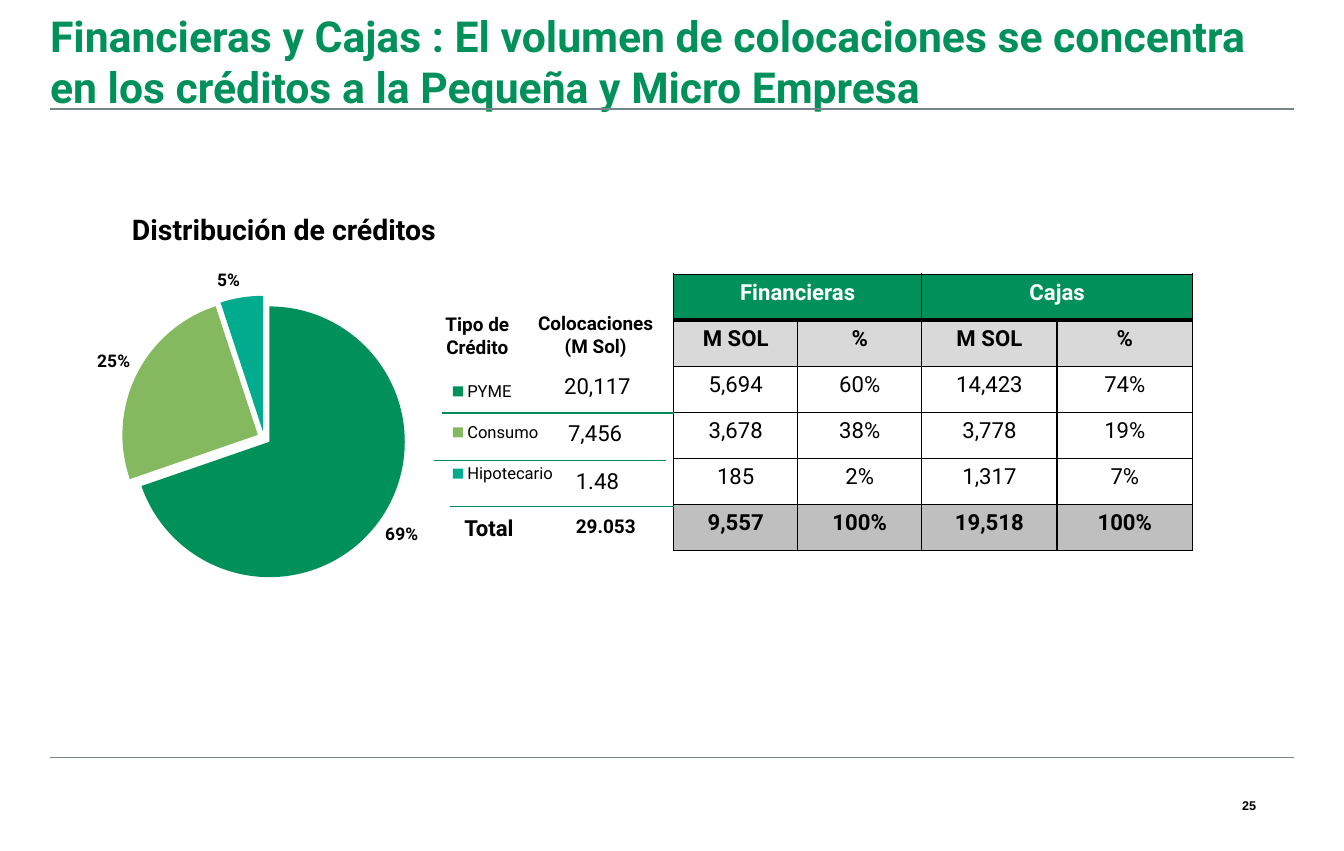
"""Build the slide on how lenders' credit volume is shared out."""
from lxml.etree import SubElement
from pptx import Presentation
from pptx.chart.data import CategoryChartData
from pptx.dml.color import RGBColor
from pptx.enum.chart import XL_CHART_TYPE, XL_LABEL_POSITION, XL_LEGEND_POSITION
from pptx.enum.shapes import MSO_CONNECTOR
from pptx.enum.text import MSO_ANCHOR, PP_ALIGN
from pptx.oxml import parse_xml
from pptx.oxml.ns import nsdecls, qn
from pptx.util import Pt

PX = 9144
GREEN = RGBColor(0x00, 0x91, 0x5A)
LIME = RGBColor(0x85, 0xB9, 0x5F)
TEAL = RGBColor(0x00, 0xAB, 0x8E)
RULE = RGBColor(0x00, 0x8E, 0x58)
SLATE = RGBColor(0x78, 0x84, 0x8A)
PALE = RGBColor(0xD9, 0xD9, 0xD9)
GRAY = RGBColor(0xBF, 0xBF, 0xBF)
BLACK = RGBColor(0x00, 0x00, 0x00)
WHITE = RGBColor(0xFF, 0xFF, 0xFF)
LEFT, MID, RIGHT = PP_ALIGN.LEFT, PP_ALIGN.CENTER, PP_ALIGN.RIGHT

TITLE = ("Financieras y Cajas : El volumen de colocaciones se concentra "
         "en los créditos a la Pequeña y Micro Empresa")
NOTES = [
    (["Distribución de créditos"], (116, 186, 348, 39), 18, True, LEFT),
    (["Tipo de", "Crédito"], (341, 275, 157, 43), 12, True, MID),
    (["Colocaciones", "(M Sol)"], (445, 274, 157, 43), 12, True, MID),
    (["20,117"], (478, 327, 94, 39), 14, False, MID),
    (["7,456"], (476, 369, 94, 39), 14, False, MID),
    (["1.48"], (478, 411, 94, 39), 14, False, MID),
    (["Total"], (408, 452, 78, 27), 14, True, LEFT),
    (["29.053"], (506, 452, 79, 43), 12, True, LEFT),
]
LINES = [
    (44, 1137, 96, SLATE, 1),
    (44, 1137, 666, SLATE, 1),
    (388, 592, 363, RULE, 0.75),
    (381, 585, 405, RULE, 0.75),
    (395, 592, 445, RULE, 0.75),
]
SHARES = [("PYME", 0.69, GREEN), ("Consumo", 0.25, LIME), ("Hipotecario", 0.05, TEAL)]
PIE = (31, 224, 500, 300)
PLOT = (107, 260, 250, 250)
KEY = (391, 316, 102, 128)
GRID = (592, 241, 456, 243)
COLS = [109, 109, 119, 119]
ROWS = [
    (["Financieras", "", "Cajas", ""], GREEN, WHITE, True),
    (["M SOL", "%", "M SOL", "%"], PALE, BLACK, True),
    (["5,694", "60%", "14,423", "74%"], WHITE, BLACK, False),
    (["3,678", "38%", "3,778", "19%"], WHITE, BLACK, False),
    (["185", "2%", "1,317", "7%"], WHITE, BLACK, False),
    (["9,557", "100%", "19,518", "100%"], GRAY, BLACK, True),
]


def scale(box):
    return [n * PX for n in box]


def style(font, size, bold=False, color=BLACK, name="Roboto"):
    font.name, font.size, font.bold = name, Pt(size), bold
    font.color.rgb = color


def write(para, text, align, *look):
    para.alignment = align
    run = para.add_run()
    run.text = text
    style(run.font, *look)


def clear(frame, anchor=MSO_ANCHOR.TOP, wrap=True):
    frame.margin_left = frame.margin_right = 0
    frame.margin_top = frame.margin_bottom = 0
    frame.vertical_anchor, frame.word_wrap = anchor, wrap


def add_note(slide, texts, box, size, bold, align):
    frame = slide.shapes.add_textbox(*scale(box)).text_frame
    clear(frame)
    for i, text in enumerate(texts):
        para = frame.add_paragraph() if i else frame.paragraphs[0]
        write(para, text, align, size, bold)


def add_line(slide, start, end, y, color, width):
    line = slide.shapes.add_connector(MSO_CONNECTOR.STRAIGHT, *scale((start, y, end, y)))
    line.line.color.rgb = color
    line.line.width = Pt(width)
    SubElement(line._element.spPr, qn("a:effectLst"))


def layout(box, inner=False):
    left, top, wide, high = PIE
    x, y, w, h = box
    parts = {"x": (x - left) / wide, "y": (y - top) / high, "w": w / wide, "h": h / high}
    target = '<c:layoutTarget val="inner"/>' if inner else ""
    modes = '<c:xMode val="edge"/><c:yMode val="edge"/>'
    sizes = "".join(f'<c:{k} val="{v:.3f}"/>' for k, v in parts.items())
    return parse_xml(f'<c:layout {nsdecls("c")}><c:manualLayout>{target}{modes}{sizes}'
                     "</c:manualLayout></c:layout>")


def add_pie(slide):
    data = CategoryChartData(number_format="0%")
    data.categories = [name for name, _, _ in SHARES]
    data.add_series("Series 1", [value for _, value, _ in SHARES])
    chart = slide.shapes.add_chart(XL_CHART_TYPE.PIE, *scale(PIE), data).chart
    style(chart.font, 10, name="Arial")
    chart.has_title = False
    chart.has_legend = True
    legend = chart.legend
    legend.position = XL_LEGEND_POSITION.RIGHT
    legend.include_in_layout = False
    style(legend.font, 10.5)
    pos = legend._element.find(qn("c:legendPos"))
    for old in legend._element.findall(qn("c:layout")):
        legend._element.remove(old)
    pos.addnext(layout(KEY))
    area = chart._chartSpace.chart.plotArea
    for old in area.findall(qn("c:layout")):
        area.remove(old)
    area.insert(0, layout(PLOT, True))
    plot = chart.plots[0]
    plot.vary_by_categories = True
    series = plot.series[0]
    for i, (_, _, color) in enumerate(SHARES):
        fill = series.points[i].format.fill
        fill.solid()
        fill.fore_color.rgb = color
    blast = parse_xml(f'<c:explosion {nsdecls("c")} val="5"/>')
    series._element.find(qn("c:dPt")).addprevious(blast)
    for point in series._element.findall(qn("c:dPt")):
        burst = parse_xml(f'<c:explosion {nsdecls("c")} val="5"/>')
        point.find(qn("c:spPr")).addprevious(burst)
    labels = series.data_labels
    labels.show_value = True
    labels.number_format, labels.number_format_is_linked = "0%", False
    labels.position = XL_LABEL_POSITION.OUTSIDE_END
    style(labels.font, 11, True)


def edge(cell, top, low):
    for side, width in (("L", 1), ("R", 1), ("T", top), ("B", low)):
        cell._tc.get_or_add_tcPr().append(parse_xml(
            f'<a:ln{side} {nsdecls("a")} w="{Pt(width)}"><a:solidFill>'
            f'<a:srgbClr val="{BLACK}"/></a:solidFill></a:ln{side}>'))


def add_grid(slide):
    table = slide.shapes.add_table(len(ROWS), len(COLS), *scale(GRID)).table
    table.first_row = table.horz_banding = False
    for col, width in zip(table.columns, COLS):
        col.width = width * PX
    for r, (texts, back, color, bold) in enumerate(ROWS):
        for c, text in enumerate(texts):
            cell = table.cell(r, c)
            edge(cell, 3 if r == 1 else 1, 3 if r == 0 else 1)
            cell.fill.solid()
            cell.fill.fore_color.rgb = back
            if text:
                write(cell.text_frame.paragraphs[0], text, MID, 14, bold, color)
    for c in (0, 2):
        table.cell(0, c).merge(table.cell(0, c + 1))


def main():
    deck = Presentation()
    deck.slide_width, deck.slide_height = scale((1181, 748))
    slide = deck.slides.add_slide(deck.slide_layouts[5])
    title = slide.shapes.title
    title.left, title.top, title.width, title.height = scale((44, 13, 1093, 81))
    clear(title.text_frame, MSO_ANCHOR.MIDDLE)
    write(title.text_frame.paragraphs[0], TITLE, LEFT, 27, True, GREEN)
    add_pie(slide)
    add_grid(slide)
    for line in LINES:
        add_line(slide, *line)
    for note in NOTES:
        add_note(slide, *note)
    page = slide.shapes.add_textbox(*scale((1081, 698, 23, 20))).text_frame
    clear(page, MSO_ANCHOR.MIDDLE, False)
    write(page.paragraphs[0], "25", RIGHT, 8, True, BLACK, "Arial")
    deck.save("out.pptx")


if __name__ == "__main__":
    main()
